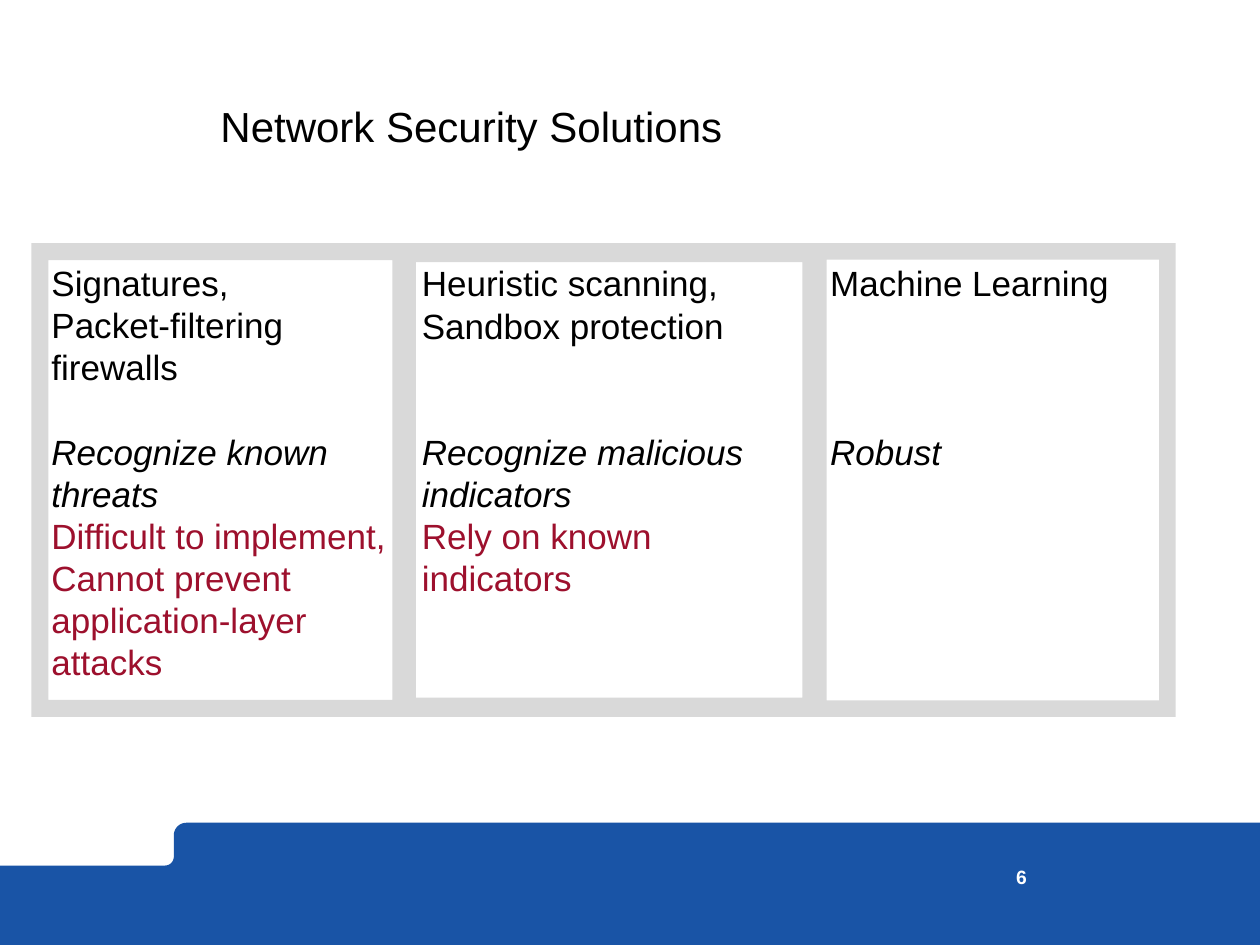
import math
from dataclasses import dataclass

import pptx
import pptx.dml.color
import pptx.enum.shapes
import pptx.enum.text
import pptx.util
from pptx.util import Inches


@dataclass(frozen=True)
class Theme:
    font: str = "Arial"
    blue: str = "1954A6"
    grey: str = "D9D9D9"
    black: str = "000000"
    red: str = "9D102D"
    white: str = "FFFFFF"
    title_size: int = 24
    title_line: int = 30
    body_size: int = 20
    body_line: int = 24
    number_size: int = 11


THEME = Theme()
FRAME_TOP, FRAME_HEIGHT, FRAME_BAND = 1.93, 3.76, 0.045
TEXT_TOP = 2.03

# Each line: wording, style, blank lines left above it
COLUMNS = [
    {"frame": (0.25, 3), "text": (0.31, 3, 3.47), "lines": [
        ("Signatures,", "plain", 0),
        ("Packet-filtering firewalls", "plain", 0),
        ("Recognize known threats", "strength", 1),
        ("Difficult to implement,", "weakness", 0),
        ("Cannot prevent application-layer attacks", "weakness", 0)]},
    {"frame": (3.15, 3.37), "text": (3.25, 3.27, 2.79), "lines": [
        ("Heuristic scanning,", "plain", 0),
        ("Sandbox protection", "plain", 0),
        ("Recognize malicious indicators", "strength", 2),
        ("Rely on known indicators", "weakness", 0)]},
    {"frame": (6.43, 2.9), "text": (6.49, 2.63, 1.78), "lines": [
        ("Machine Learning", "plain", 0),
        ("Robust", "strength", 3)]},
]


def paint(shape, color):
    shape.shadow.inherit = False
    shape.fill.solid()
    shape.fill.fore_color.rgb = pptx.dml.color.RGBColor.from_string(color)
    shape.line.fill.background()


def add_text_box(page, left, top, width, height, margins=True):
    box = page.shapes.add_textbox(Inches(left), Inches(top), Inches(width), Inches(height))
    frame = box.text_frame
    frame.word_wrap = True
    if not margins:
        frame.margin_left = frame.margin_right = 0
        frame.margin_top = frame.margin_bottom = 0
    return frame


def write(para, text, size, color, bold=False, italic=False):
    para.text = text
    font = para.font
    font.name = THEME.font
    font.size = pptx.util.Pt(size)
    font.color.rgb = pptx.dml.color.RGBColor.from_string(color)
    font.bold, font.italic = bold, italic


def arc(center_x, center_y, radius, start, end, steps=10):
    angles = (math.radians(start + (end - start) * step / steps) for step in range(steps + 1))
    return [(center_x + radius * math.cos(angle), center_y + radius * math.sin(angle))
            for angle in angles]


def add_footer(page, left, top, width, height):
    # Blue band whose upper edge steps down on the left with rounded corners
    step_x, step_y, outer, inner = left + 1.38, top + 0.34, 0.1, 0.07
    right, bottom = left + width, top + height
    outline = [(left, bottom), (left, step_y)]
    outline += arc(step_x - inner, step_y - inner, inner, 90, 0)
    outline += arc(step_x + outer, top + outer, outer, 180, 270)
    outline += [(right, top), (right, bottom)]
    # The builder rounds to whole units, so points are given in EMU
    points = [(Inches(x), Inches(y)) for x, y in outline]
    builder = page.shapes.build_freeform(*points[0])
    builder.add_line_segments(points[1:], close=True)
    paint(builder.convert_to_shape(), THEME.blue)

    # Page number
    para = add_text_box(page, left + 7.57, step_y, 0.58, 0.4, margins=False).paragraphs[0]
    write(para, "6", THEME.number_size, THEME.white, bold=True)
    para.alignment = pptx.enum.text.PP_ALIGN.RIGHT


def add_title(page, left, top, width, height):
    frame = add_text_box(page, left, top, width, height, margins=False)
    frame.vertical_anchor = pptx.enum.text.MSO_ANCHOR.BOTTOM
    para = frame.paragraphs[0]
    write(para, "Network Security Solutions", THEME.title_size, THEME.black)
    para.line_spacing = pptx.util.Pt(THEME.title_line)


def add_column_text(page, left, top, width, height, lines):
    frame = add_text_box(page, left, top, width, height)
    for index, (text, style, gap) in enumerate(lines):
        para = frame.add_paragraph() if index else frame.paragraphs[0]
        color = THEME.red if style == "weakness" else THEME.black
        write(para, text, THEME.body_size, color, italic=style == "strength")
        para.line_spacing = pptx.util.Pt(THEME.body_line)
        para.space_before = pptx.util.Pt(gap * THEME.body_line)


def add_column_frame(page, left, top, width, height):
    border = page.shapes.add_shape(
        pptx.enum.shapes.MSO_SHAPE.FRAME,
        Inches(left), Inches(top), Inches(width), Inches(height))
    border.adjustments[0] = FRAME_BAND
    paint(border, THEME.grey)


def main():
    deck = pptx.Presentation()
    deck.slide_width, deck.slide_height = Inches(10), Inches(7.5)
    page = deck.slides.add_slide(deck.slide_layouts[6])

    add_footer(page, 0, 6.53, 10, 0.97)
    # Texts lie behind the frames
    for column in COLUMNS:
        left, width, height = column["text"]
        add_column_text(page, left, TEXT_TOP, width, height, column["lines"])
    for column in COLUMNS:
        left, width = column["frame"]
        add_column_frame(page, left, FRAME_TOP, width, FRAME_HEIGHT)
    add_title(page, 1.75, 0.62, 7.2, 0.58)

    deck.save("out.pptx")


if __name__ == "__main__":
    main()
